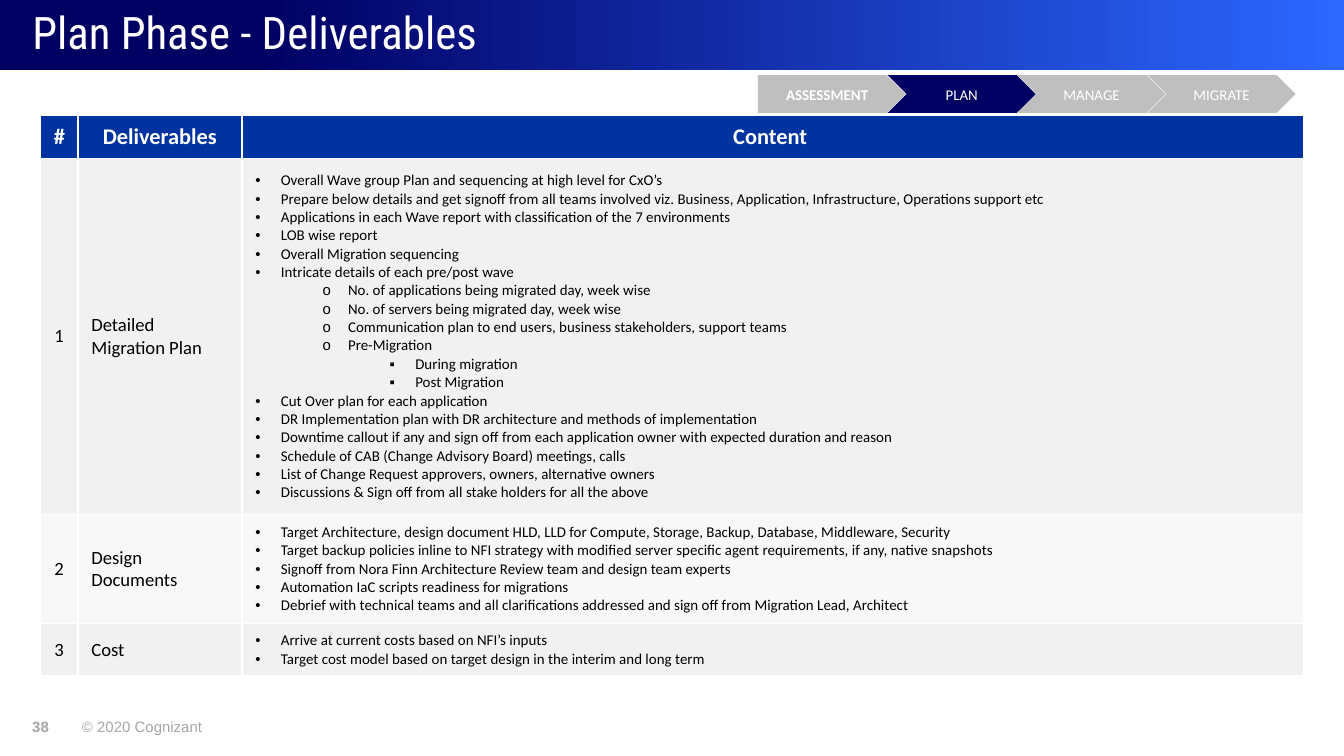
from lxml import etree
from pptx import Presentation
from pptx.dml.color import RGBColor
from pptx.enum.shapes import MSO_SHAPE
from pptx.enum.text import MSO_ANCHOR, MSO_AUTO_SIZE, PP_ALIGN
from pptx.oxml.ns import qn
from pptx.util import Inches, Pt

MIDDLE = MSO_ANCHOR.MIDDLE
LEFT, CENTER = PP_ALIGN.LEFT, PP_ALIGN.CENTER

NAVY = RGBColor(0x00, 0x00, 0x63)
BRIGHT_BLUE = RGBColor(0x2C, 0x67, 0xFF)
HEADER_BLUE = RGBColor(0x00, 0x33, 0xA0)
WHITE = RGBColor(0xFF, 0xFF, 0xFF)
BLACK = RGBColor(0x00, 0x00, 0x00)
STEP_GRAY = RGBColor(0xBF, 0xBF, 0xBF)
FOOTER_GRAY = RGBColor(0xA6, 0xA6, 0xA6)
ROW_FILLS = (RGBColor(0xF1, 0xF1, 0xF1), RGBColor(0xF8, 0xF8, 0xF8))

PAGE_WIDTH = 10
PAGE_HEIGHT = PAGE_WIDTH * 9 / 16
BULLETS = "•o▪"  # one per outline level
STEPS = ["ASSESSMENT", "PLAN", "MANAGE", "MIGRATE"]
CURRENT_STEP = "PLAN"
HEADERS = ["#", "Deliverables", "Content "]

# Each deliverable: name, then (outline level, text) items
DELIVERABLES = [
    ("Detailed Migration Plan", [
        (0, "Overall Wave group Plan and sequencing at high level for CxO’s"),
        (0, "Prepare below details and get signoff from all teams involved viz. "
            "Business, Application, Infrastructure, Operations support etc"),
        (0, "Applications in each Wave report with classification of the 7 environments"),
        (0, "LOB wise report"),
        (0, "Overall Migration sequencing"),
        (0, "Intricate details of each pre/post wave"),
        (1, "No. of applications being migrated day, week wise"),
        (1, "No. of servers being migrated day, week wise"),
        (1, "Communication plan to end users, business stakeholders, support teams"),
        (1, "Pre-Migration"),
        (2, "During migration"),
        (2, "Post Migration"),
        (0, "Cut Over plan for each application"),
        (0, "DR Implementation plan with DR architecture and methods of implementation"),
        (0, "Downtime callout if any and sign off from each application owner "
            "with expected duration and reason"),
        (0, "Schedule of CAB (Change Advisory Board) meetings, calls"),
        (0, "List of Change Request approvers, owners, alternative owners"),
        (0, "Discussions & Sign off from all stake holders for all the above"),
    ]),
    ("Design Documents", [
        (0, "Target Architecture, design document HLD, LLD for Compute, Storage, "
            "Backup, Database, Middleware, Security"),
        (0, "Target backup policies inline to NFI strategy with modified server "
            "specific agent requirements, if any, native snapshots"),
        (0, "Signoff from Nora Finn Architecture Review team and design team experts"),
        (0, "Automation IaC scripts readiness for migrations"),
        (0, "Debrief with technical teams and all clarifications addressed and "
            "sign off from Migration Lead, Architect"),
    ]),
    ("Cost", [
        (0, "Arrive at current costs based on NFI’s inputs"),
        (0, "Target cost model based on target design in the interim and long term"),
    ]),
]


def style_text(para, size, color, name="Calibri", bold=False, align=LEFT):
    para.alignment = align
    for span in para.runs:
        span.font.size = Pt(size)
        span.font.name = name
        span.font.bold = bold
        span.font.color.rgb = color


def clear_margins(frame):
    frame.margin_left = frame.margin_right = 0
    frame.margin_top = frame.margin_bottom = 0


def add_title(page, left, top, width, height):
    # Gradient band, kept behind the title
    band = page.shapes.add_shape(MSO_SHAPE.RECTANGLE, Inches(left), Inches(top),
                                 Inches(width), Inches(height))
    band.shadow.inherit = False
    band.line.fill.background()
    band.fill.gradient()
    band.fill.gradient_angle = 0
    for stop, position, color in zip(band.fill.gradient_stops, (0.19, 1),
                                     (NAVY, BRIGHT_BLUE)):
        stop.position = position
        stop.color.rgb = color
    title = page.shapes.title
    title._element.addprevious(band._element)

    title.left, title.top = Inches(left + 0.24), Inches(top)
    title.width, title.height = Inches(8.7), Inches(height)
    frame = title.text_frame
    frame.text = "Plan Phase - Deliverables"
    frame.auto_size = MSO_AUTO_SIZE.NONE
    frame.vertical_anchor = MIDDLE
    clear_margins(frame)
    para = frame.paragraphs[0]
    para.line_spacing = 0.9
    style_text(para, 24, WHITE, "Roboto Condensed")


def add_steps(page, left, top, width, height):
    step_width = 1.1
    pitch = (width - step_width) / (len(STEPS) - 1)
    group = page.shapes.add_group_shape()
    # Last step first, so that each earlier step lies on top
    for index in reversed(range(len(STEPS))):
        kind = MSO_SHAPE.CHEVRON if index else MSO_SHAPE.PENTAGON
        step = group.shapes.add_shape(kind, Inches(left + index * pitch), Inches(top),
                                      Inches(step_width), Inches(height))
        step.shadow.inherit = False
        step.line.fill.background()
        step.fill.solid()
        step.fill.fore_color.rgb = NAVY if STEPS[index] == CURRENT_STEP else STEP_GRAY
        frame = step.text_frame
        frame.text = STEPS[index]
        frame.vertical_anchor = MIDDLE
        clear_margins(frame)
        style_text(frame.paragraphs[0], 8, WHITE, bold=index == 0, align=CENTER)


def format_cell(cell, fill):
    cell.vertical_anchor = MIDDLE
    properties = cell._tc.get_or_add_tcPr()
    for side in ("a:lnL", "a:lnR", "a:lnT", "a:lnB"):
        border = etree.SubElement(properties, qn(side), w=str(Pt(1)))
        paint = etree.SubElement(border, qn("a:solidFill"))
        etree.SubElement(paint, qn("a:srgbClr"), val=str(WHITE))
    cell.fill.solid()
    cell.fill.fore_color.rgb = fill


def fill_cell(cell, text, fill, size, color, bold=False, align=LEFT):
    format_cell(cell, fill)
    cell.text_frame.text = text
    style_text(cell.text_frame.paragraphs[0], size, color, bold=bold, align=align)


def fill_outline(cell, items, fill):
    format_cell(cell, fill)
    frame = cell.text_frame
    frame.text = "\n".join(text for _, text in items)
    for para, (level, _) in zip(frame.paragraphs, items):
        para.level = level
        properties = para._p.get_or_add_pPr()
        properties.set("marL", str(Inches(0.19 + 0.5 * level)))
        properties.set("indent", str(Inches(-0.19)))
        etree.SubElement(properties, qn("a:buFont"), typeface="Arial")
        etree.SubElement(properties, qn("a:buChar"), char=BULLETS[level])
        style_text(para, 8, BLACK)


def add_deliverables(page, left, top, width, height):
    row_heights = (0.32, 2.65, 0.81, 0.39)
    column_widths = (0.28, 1.22, width - 1.5)
    table = page.shapes.add_table(len(row_heights), len(column_widths), Inches(left),
                                  Inches(top), Inches(width), Inches(height)).table
    for row, row_height in zip(table.rows, row_heights):
        row.height = Inches(row_height)
    for column, column_width in zip(table.columns, column_widths):
        column.width = Inches(column_width)

    for index, header in enumerate(HEADERS):
        fill_cell(table.cell(0, index), header, HEADER_BLUE, 12, WHITE, True, CENTER)
    for number, (name, items) in enumerate(DELIVERABLES, start=1):
        fill = ROW_FILLS[(number - 1) % 2]
        fill_cell(table.cell(number, 0), str(number), fill, 10, BLACK, align=CENTER)
        fill_cell(table.cell(number, 1), name, fill, 10, BLACK)
        fill_outline(table.cell(number, 2), items, fill)


def add_footer(page, left, top, height):
    for offset, width, text, bold in ((0, 0.14, "38", True),
                                      (0.37, 0.91, "© 2020 Cognizant", False)):
        box = page.shapes.add_textbox(Inches(left + offset), Inches(top),
                                      Inches(width), Inches(height))
        frame = box.text_frame
        frame.text = text
        frame.word_wrap = False
        clear_margins(frame)
        style_text(frame.paragraphs[0], 8, FOOTER_GRAY, "Arial", bold)


def main():
    deck = Presentation()
    deck.slide_width, deck.slide_height = Inches(PAGE_WIDTH), Inches(PAGE_HEIGHT)
    page = deck.slides.add_slide(deck.slide_layouts[5])  # title only
    add_title(page, 0, 0, PAGE_WIDTH, 0.52)
    add_deliverables(page, 0.3, 0.86, 9.4, 4.17)
    add_steps(page, 5.64, 0.56, 4, 0.28)
    add_footer(page, 0.24, 5.34, 0.13)
    deck.save("out.pptx")


if __name__ == "__main__":
    main()
